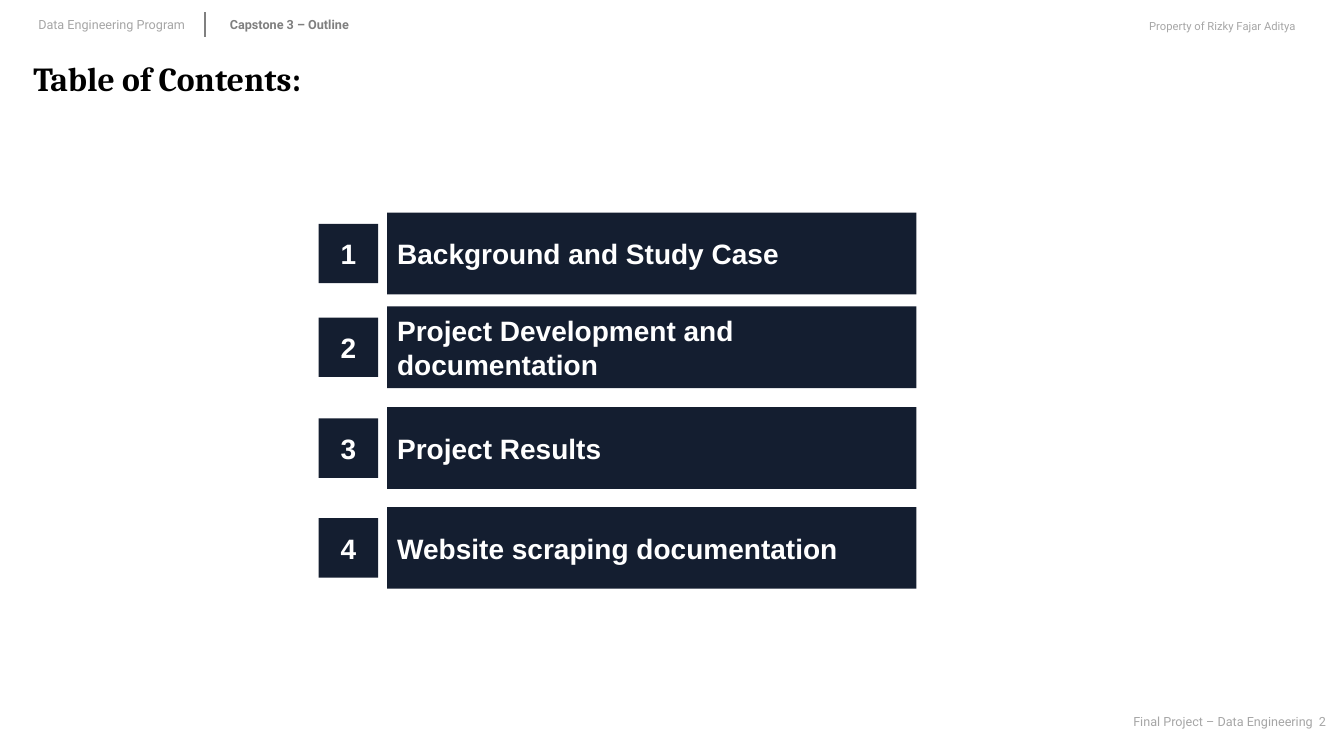
from lxml.etree import SubElement
from pptx import Presentation
from pptx.dml.color import RGBColor
from pptx.enum.shapes import MSO_CONNECTOR, MSO_SHAPE
from pptx.enum.text import MSO_ANCHOR, PP_ALIGN
from pptx.oxml.ns import qn
from pptx.util import Pt

EMU_PER_PX = 9144
SLIDE_WIDTH, SLIDE_HEIGHT = 1333, 750
NAVY, WHITE, BLACK = "141E30", "FFFFFF", "000000"
LIGHT_GREY, MID_GREY, RULE_GREY = "A6A6A6", "7F7F7F", "808080"
CHAPTERS = [
    (211, "Background and Study Case"),
    (304, "Project Development and documentation"),
    (404, "Project Results"),
    (503, "Website scraping documentation"),
]


def px(*lengths):
    """Turn whole pixels into a list of EMU lengths."""
    return [length * EMU_PER_PX for length in lengths]


def color(hex_code):
    """Return the colour for a hex string."""
    return RGBColor.from_string(hex_code)


def write(shape, text, size, font, ink, bold=False, align=PP_ALIGN.LEFT,
          anchor=MSO_ANCHOR.TOP, inset=(10, 5), wrap=True):
    """Fill a shape with one formatted paragraph."""
    frame = shape.text_frame
    frame.text = text
    frame.word_wrap = wrap
    frame.vertical_anchor = anchor
    frame.margin_left, frame.margin_top = px(*inset)
    frame.margin_right, frame.margin_bottom = px(*inset)
    paragraph = frame.paragraphs[0]
    paragraph.alignment = align
    run_font = paragraph.runs[0].font
    run_font.name, run_font.size, run_font.bold = font, Pt(size), bold
    run_font.color.rgb = color(ink)


def add_label(slide, box, text, ink=LIGHT_GREY, **style):
    """Add a small header or footer label without insets."""
    label = slide.shapes.add_textbox(*px(*box))
    write(label, text, 9, "Roboto", ink, anchor=MSO_ANCHOR.BOTTOM,
          inset=(0, 0), **style)


def add_block(slide, box, text, align):
    """Add a navy block with bold white text."""
    block = slide.shapes.add_shape(MSO_SHAPE.RECTANGLE, *px(*box))
    block.shadow.inherit = False
    block.fill.solid()
    block.fill.fore_color.rgb = color(NAVY)
    block.line.fill.background()
    write(block, text, 20, "Arial", WHITE, bold=True, align=align,
          anchor=MSO_ANCHOR.MIDDLE)


def add_footer(slide, left, top):
    """Place the project name and the page number."""
    add_label(slide, (left, top, 180, 15), "Final Project – Data Engineering",
              align=PP_ALIGN.CENTER, wrap=False)
    add_label(slide, (left + 156, top, 36, 15), "2", align=PP_ALIGN.RIGHT)


def add_header(slide, left, top):
    """Place the program, the divider, the section and the owner."""
    add_label(slide, (left, top + 5, 220, 15), "Data Engineering Program")
    add_label(slide, (left + 190, top + 5, 285, 15), "Capstone 3 – Outline",
              MID_GREY, bold=True)
    divider = slide.shapes.add_connector(
        MSO_CONNECTOR.STRAIGHT,
        *px(left + 165, top, left + 165, top + 25))
    divider.line.color.rgb = color(RULE_GREY)
    divider.line.width = Pt(1.5)
    SubElement(divider._element.spPr, qn("a:effectLst"))
    owner = slide.shapes.add_textbox(*px(left + 986, top + 2, 271, 24))
    write(owner, "Property of Rizky Fajar Aditya", 8, "Roboto", LIGHT_GREY,
          align=PP_ALIGN.RIGHT)


def add_title(slide, left, top, width, height):
    """Move and format the title placeholder."""
    title = slide.shapes.title
    title.left, title.top, title.width, title.height = px(
        left, top, width, height)
    write(title, "Table of Contents:", 24, "Cambria", BLACK, bold=True)


def add_chapter(slide, left, top, number, name):
    """Place a numbered square beside its chapter bar."""
    square, bar_height = 59, 81
    add_block(slide, (left, top + (bar_height - square) // 2, square, square),
              str(number), PP_ALIGN.CENTER)
    add_block(slide, (left + 68, top, 525, bar_height), name, PP_ALIGN.LEFT)


def main():
    """Build and save the contents slide."""
    deck = Presentation()
    deck.slide_width, deck.slide_height = px(SLIDE_WIDTH, SLIDE_HEIGHT)
    slide = deck.slides.add_slide(deck.slide_layouts.get_by_name("Title Only"))
    add_footer(slide, 1123, 708)
    add_header(slide, 38, 12)
    add_title(slide, 23, 52, 1310, 50)
    for number, (top, name) in enumerate(CHAPTERS, start=1):
        add_chapter(slide, 316, top, number, name)
    deck.save("out.pptx")


if __name__ == "__main__":
    main()
